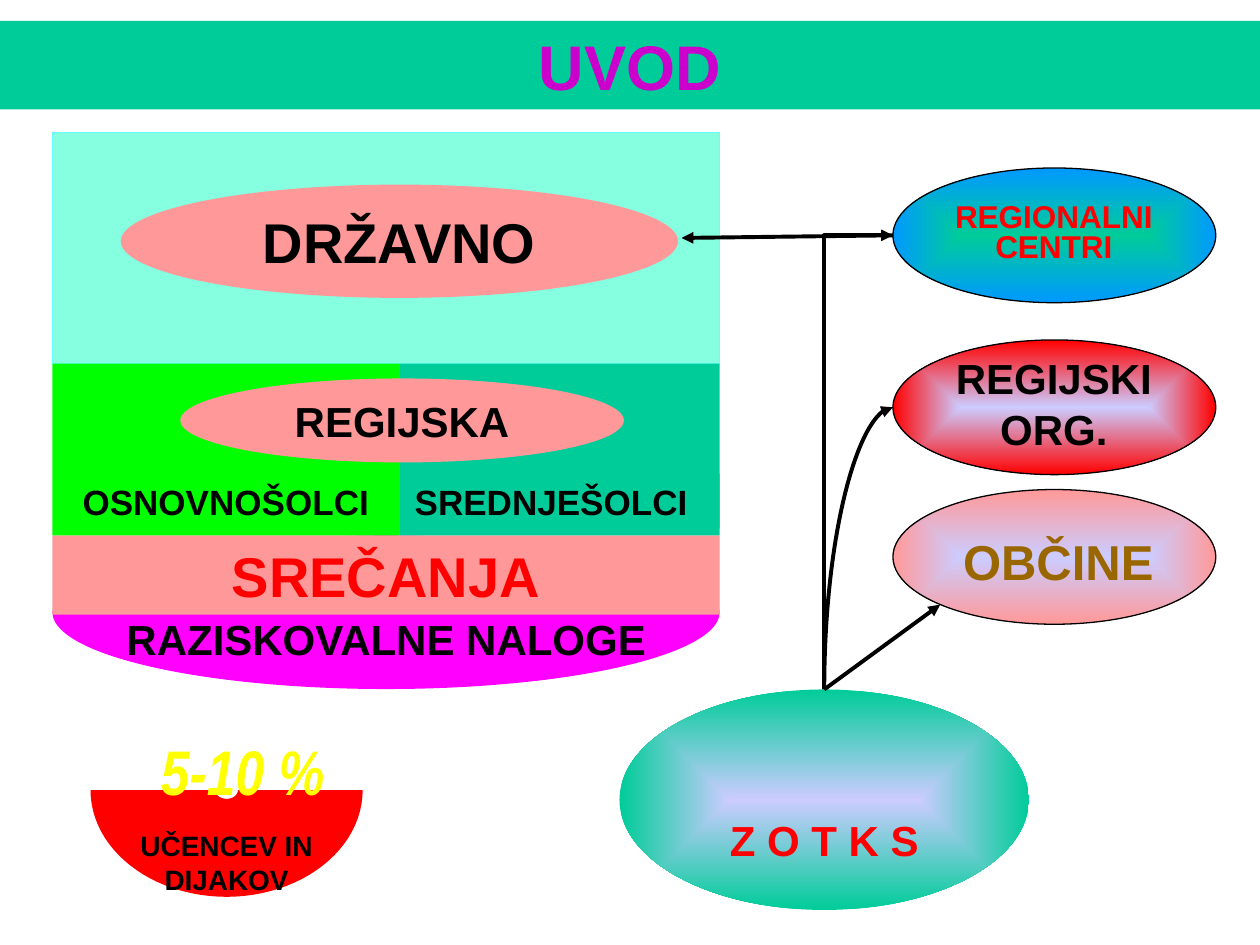
from math import cos, pi, sin

from lxml.etree import SubElement
from pptx import Presentation
from pptx.dml.color import RGBColor
from pptx.enum.shapes import MSO_CONNECTOR, MSO_SHAPE
from pptx.enum.text import MSO_ANCHOR, PP_ALIGN
from pptx.oxml.ns import qn
from pptx.util import Pt


class Theme:
    font, slim = "Arial", "Arial Narrow"
    black, red, green, lime = "000000", "FF0000", "00CC99", "00FF00"
    aqua, edge, pink, rose = "85FFE0", "66FFFF", "FF9999", "FF00FF"
    lilac, blue, brown = "CCCCFF", "0099FF", "996600"
    violet, yellow = "CC00CC", "FFFF00"
    huge, big, wide, mid, small, sub, note = 36, 32, 28, 24, 20, 18, 16


T = Theme
RECT, OVAL = MSO_SHAPE.RECTANGLE, MSO_SHAPE.OVAL

deck = Presentation()
deck.slide_width, deck.slide_height = Pt(720), Pt(540)
slide = deck.slides.add_slide(deck.slide_layouts[5])
shapes = slide.shapes


def put(shape, fill=None, line=None, text="", size=T.mid, color=T.black,
        anchor=MSO_ANCHOR.TOP, space=1.0, frame=None, font=None):
    """Style a shape; a pair of fill colours runs from centre to edge."""
    if isinstance(fill, tuple):
        shape.fill.gradient()
        for stop, (at, tone) in zip(shape.fill.gradient_stops, enumerate(fill)):
            stop.position = at
            stop.color.rgb = RGBColor.from_string(tone)
        grad = shape._element.spPr.find(qn("a:gradFill"))
        grad.remove(grad.find(qn("a:lin")))
        core = SubElement(grad, qn("a:path"), path="shape")
        SubElement(core, qn("a:fillToRect"), dict.fromkeys("ltrb", "50000"))
    elif fill:
        shape.fill.solid()
        shape.fill.fore_color.rgb = RGBColor.from_string(fill)
    if line:
        shape.line.color.rgb = RGBColor.from_string(line)
        shape.line.width = Pt(0.75)
    elif fill:
        shape.line.fill.background()
    if fill:
        shape.shadow.inherit = False
    if text:
        body = shape.text_frame
        body.text = text
        para = body.paragraphs[0]
        para.font.color.rgb = RGBColor.from_string(color)
        looks = (
            (body, {"word_wrap": True, "vertical_anchor": anchor, **(frame or {})}),
            (para, {"alignment": PP_ALIGN.CENTER, "line_spacing": space}),
            (para.font, {"name": T.font, "size": Pt(size), "bold": True,
                         **(font or {})}),
        )
        for part, look in looks:
            for name, value in look.items():
                setattr(part, name, value)


def link(start, end, preset=None):
    """Draw an arrow; a preset makes it turn a quarter on its way."""
    (x1, y1), (x2, y2) = start, end
    if preset:
        mx, my = (x1 + x2) / 2, (y1 + y2) / 2
        dx, dy = abs(y2 - y1) / 2, abs(x2 - x1) / 2
        x1, y1, x2, y2 = mx + dx, my + dy, mx - dx, my - dy
    arrow = shapes.add_connector(MSO_CONNECTOR.STRAIGHT,
                                 Pt(x1), Pt(y1), Pt(x2), Pt(y2))
    props = arrow._element.spPr
    if preset:
        props.find(qn("a:xfrm")).set("rot", "5400000")
        props.find(qn("a:prstGeom")).set("prst", preset)
    arrow.line.color.rgb = RGBColor.from_string(T.black)
    arrow.line.width = Pt(2.25)
    SubElement(props.find(qn("a:ln")), qn("a:tailEnd"), type="triangle")
    SubElement(props, qn("a:effectLst"))


# Title band
title = shapes.title
title.left, title.top, title.width, title.height = Pt(0), Pt(12), Pt(720), Pt(50.5)
put(title, T.green, text="UVOD", size=T.huge, color=T.violet,
    anchor=MSO_ANCHOR.MIDDLE)

# Panel edges, then the outer bodies on the right
left, split, right = 30, 228.5, 411.25
top, low, base = 75.75, 207.75, 306
full, half = right - left, right - split
side, wide, tall = 510.25, 184.5, 77
orgs = [(96, (T.green, T.blue)), (194.25, (T.lilac, T.red)),
        (279.75, (T.lilac, T.pink))]
mid = MSO_ANCHOR.MIDDLE

blocks = [
    # Levels of competition
    (RECT, (left, top, full, low - top), dict(fill=T.aqua, line=T.edge)),
    (OVAL, (69, 105.5, 318.5, 64.75),
     dict(fill=T.pink, text="DRŽAVNO", size=T.big, anchor=mid)),
    (OVAL, (left, base, full, 87.75), dict(fill=T.rose)),
    (None, (52, 347, 337.5, 36), dict(text="RAZISKOVALNE NALOGE")),
    (RECT, (left, base, full, 45.25),
     dict(fill=T.pink, text="SREČANJA", size=T.big, color=T.red)),
    (RECT, (split, low, half, base - low), dict(fill=T.green)),
    (RECT, (split, 271, half, 31),
     dict(fill=T.green, text="SREDNJEŠOLCI", size=T.small,
          frame={"margin_right": Pt(17)})),
    (RECT, (left, low, split - left, base - low), dict(fill=T.lime)),
    (RECT, (40, 271, 178, 31),
     dict(fill=T.lime, text="OSNOVNOŠOLCI", size=T.small)),
    (OVAL, (103, 216.25, 253.5, 48),
     dict(fill=T.pink, text="REGIJSKA", anchor=mid)),
    # Partner bodies
    *[(OVAL, (side, y, wide, tall), dict(fill=tones, line=T.black))
      for y, tones in orgs],
    (None, (519.5, 113, 165.5, 42.5),
     dict(text="REGIONALNI CENTRI", size=T.sub, color=T.red, space=0.8)),
    (None, (519.5, 198, 165.5, 65.5), dict(text="REGIJSKI ORG.")),
    (None, (522, 300.25, 165.5, 41),
     dict(text="OBČINE", size=T.wide, color=T.brown)),
    # Organiser
    (OVAL, (354, 394, 234, 126), dict(fill=(T.lilac, T.green))),
    (None, (375, 462, 192, 36), dict(text="Z O T K S", color=T.red)),
]
for kind, box, style in blocks:
    area = [Pt(n) for n in box]
    shape = shapes.add_shape(kind, *area) if kind else shapes.add_textbox(*area)
    put(shape, **style)

# Arrows from the organiser
hub, centre = (471, 394), (side, orgs[0][0] + tall / 2)
link(hub, (side, orgs[1][0] + tall / 2), "curvedConnector2")
link(hub, centre, "bentConnector2")
link(hub, (537.25, 345.5))
link(centre, (389.5, 136))

# Bowl with a small notch in its rim, traced in hundredths of a point
cx, rim, steps, fine = 129.5, 451.5, 48, 100
arc = [pi * i / steps for i in range(steps + 1)]
curve = [(cx + rx * cos(a), rim + ry * sin(a))
         for rx, ry in ((6.5, 5), (-77.75, 61)) for a in arc]
dots = [(x * fine, y * fine) for x, y in curve]
pen = shapes.build_freeform(*dots[0], scale=Pt(1) / fine)
pen.add_line_segments(dots[1:], close=True)
put(pen.convert_to_shape(), T.red, text="UČENCEV IN DIJAKOV", size=T.note,
    frame={"margin_top": Pt(22)})

# Share of pupils, in a box wide enough for one line
share = shapes.add_textbox(Pt(78.75), Pt(423.5), Pt(120), Pt(44.5))
put(share, text="5-10 %", size=T.huge, color=T.yellow, space=0.8,
    frame={"margin_left": 0, "margin_right": 0},
    font={"name": T.slim, "italic": True})

deck.save("out.pptx")
